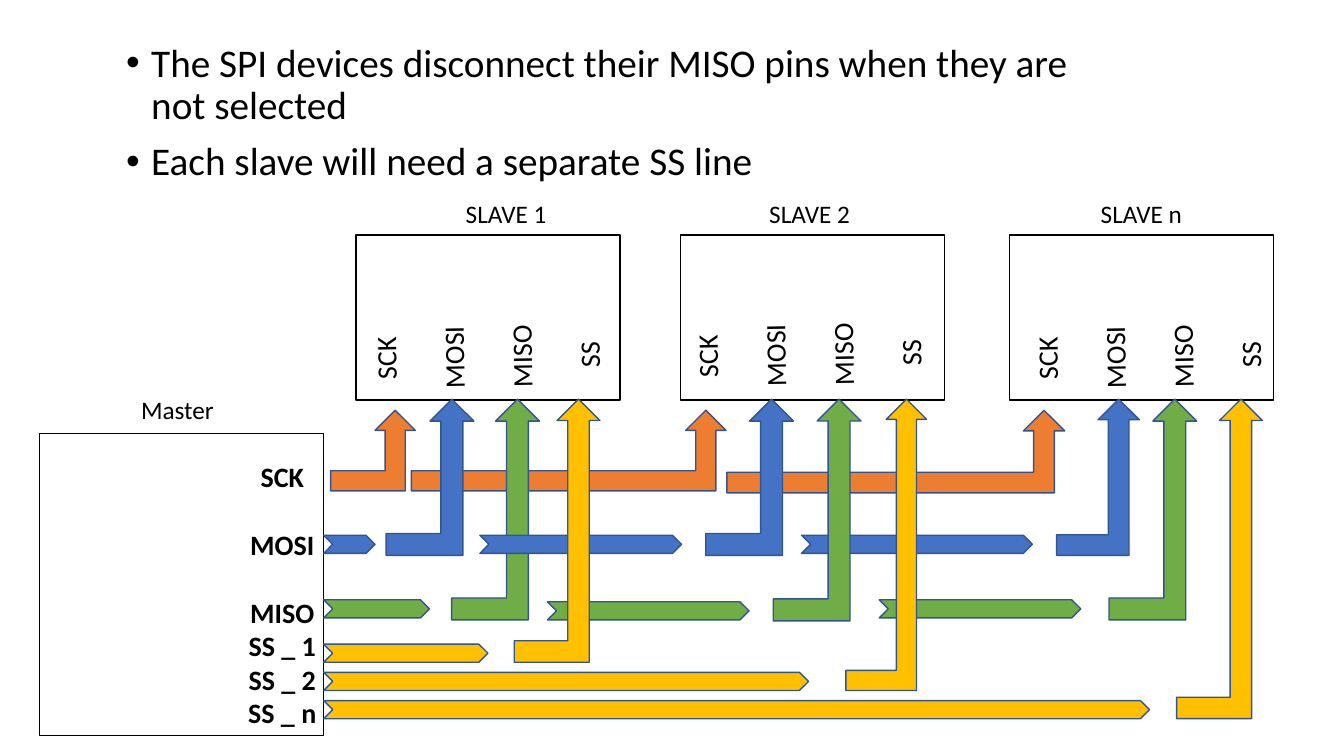
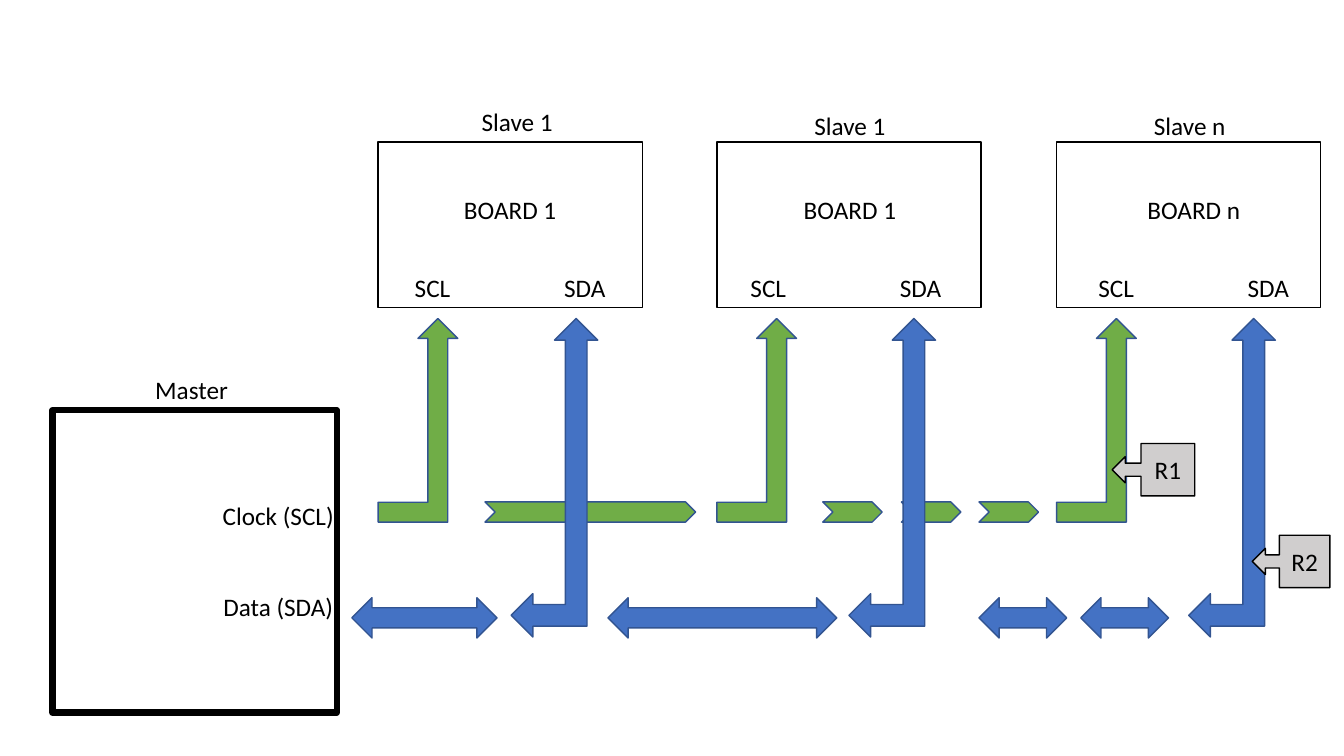
from pptx import Presentation
from pptx.dml.color import RGBColor
from pptx.enum.shapes import MSO_SHAPE
from pptx.enum.text import MSO_ANCHOR, MSO_AUTO_SIZE, PP_ALIGN
from pptx.util import Inches, Pt

RECT = MSO_SHAPE.RECTANGLE
BEND = MSO_SHAPE.BENT_UP_ARROW
BAR = MSO_SHAPE.CHEVRON
FORK = MSO_SHAPE.LEFT_UP_ARROW
BOTH = MSO_SHAPE.LEFT_RIGHT_ARROW
CALL = MSO_SHAPE.LEFT_ARROW_CALLOUT
MID, TOP = MSO_ANCHOR.MIDDLE, MSO_ANCHOR.TOP
CENTRE, LEFT = PP_ALIGN.CENTER, PP_ALIGN.LEFT
FIXED = MSO_AUTO_SIZE.NONE

BLACK = RGBColor(0, 0, 0)
WHITE = RGBColor(255, 255, 255)
EDGE = RGBColor(0x32, 0x54, 0x91)
ORANGE = RGBColor(0xED, 0x7D, 0x31)
BLUE = RGBColor(0x44, 0x72, 0xC4)
GREEN = RGBColor(0x70, 0xAD, 0x47)
GOLD = RGBColor(0xFF, 0xC0, 0)
GREY = RGBColor(0xD0, 0xCE, 0xCE)
FONT = "Calibri"
LINE = 1.22
CHIP = (2.62, 1.64)
HOST = (2.82, 3)
WIDE, TALL = 3, 0.4

POINTS = [
    "The SPI devices disconnect their MISO pins when they are not selected",
    "Each slave will need a separate SS line",
]
PINS = [("SCK", 0), ("MOSI", 1), ("MISO", 1), ("SS", 1)]
PORTS = [("SCK", 0), ("MOSI", 1), ("MISO", 1),
         ("SS _ 1", 0), ("SS _ 2", 0), ("SS _ n", 0)]
BUS = [("Clock (SCL)", 0), ("Data (SDA)", 2)]

SPI = [
    ("SLAVE 1", 3.53, 3.52, 4.1, 2.31),
    ("SLAVE 2", 6.75, 6.53, 7.29, 2.29),
    ("SLAVE n", 10.01, 9.82, 10.66, 2.31),
]
SPI_FLOW = [
    (BEND, ORANGE, 4.07, 0.8, [(3.28, 0.84), (4.08, 3.12)]),
    (BEND, ORANGE, 4.07, 0.82, [(7.21, 3.35)]),
    (BEND, BLUE, 3.96, 1.55, [(3.83, 0.87), (7, 0.87), (10.48, 0.82)]),
    (BEND, GREEN, 3.96, 2.19, [(4.48, 0.87)]),
    (BAR, BLUE, 5.31, 0.18, [(3.21, 0.51), (4.76, 2), (7.95, 2.29)]),
    (BEND, GREEN, 3.96, 2.2, [(7.67, 0.87)]),
    (BEND, GREEN, 3.96, 2.19, [(11, 0.87)]),
    (BAR, GREEN, 5.95, 0.18, [(3.21, 1.05), (8.72, 2)]),
    (BAR, GREEN, 5.97, 0.18, [(5.43, 2)]),
]
SELECT = [(5.1, 0.85, 1.63), (8.39, 0.8, 4.81), (11.67, 0.85, 8.19)]

I2C = [
    ("Slave 1", "BOARD 1", 3.75, 3.63, 1.01, 3.56, 3.56),
    ("Slave 1", "BOARD 1", 7.11, 6.93, 1.05, 6.93, 6.89),
    ("Slave n", "BOARD n", 10.48, 10.3, 1.05, 10.34, 10.34),
]
I2C_FLOW = [
    (BEND, GREEN, 3.16, 2.02, [(3.75, 0.79), (7.11, 0.79), (10.48, 0.79)]),
    (BAR, GREEN, 4.98, 0.2,
     [(4.81, 2.09), (8.16, 0.59), (8.94, 0.59), (9.71, 0.59)]),
    (FORK, BLUE, 3.16, 3.16, [(5.07, 0.86), (8.42, 0.86), (11.79, 0.86)]),
    (BOTH, BLUE, 5.93, 0.4,
     [(3.49, 1.44), (6.03, 2.27), (9.71, 0.87), (10.72, 0.87)]),
]
TAGS = [("R1", 11.03, 4.4, 0.82), ("R2", 12.42, 5.31, 0.77)]


def style(para, size, bold=False, align=CENTRE):
    para.alignment = align
    font = para.font
    font.name, font.size, font.bold = FONT, Pt(size), bold
    font.color.rgb = BLACK


def shape(slide, kind, x, y, w, h, fill=WHITE, edge=BLACK, width=1):
    item = slide.shapes.add_shape(
        kind, Inches(x), Inches(y), Inches(w), Inches(h))
    item.shadow.inherit = False
    item.fill.solid()
    item.fill.fore_color.rgb = fill
    item.line.color.rgb = edge
    item.line.width = Pt(width)
    return item


def label(slide, rows, x, y, w=WIDE, h=TALL, size=18, bold=False, turn=0):
    box = slide.shapes.add_textbox(
        Inches(x), Inches(y), Inches(w), Inches(h))
    box.rotation = turn
    frame = box.text_frame
    frame.word_wrap = True
    frame.text = "\n".join(text for text, gap in rows)
    for para, (text, gap) in zip(frame.paragraphs, rows):
        style(para, size, bold)
        para.space_before = Pt(round(gap * size * LINE, 1))


def flow(slide, layers):
    for kind, fill, y, h, spans in layers:
        for x, w in spans:
            shape(slide, kind, x, y, w, h, fill, EDGE)


def bullets(slide):
    title = slide.shapes.title
    title.element.getparent().remove(title.element)
    body = slide.placeholders[1]
    body.left, body.top = Inches(1.15), Inches(0.38)
    body.width, body.height = Inches(10), Inches(6.46)
    frame = body.text_frame
    frame.text = "\n".join(POINTS)
    frame.auto_size = FIXED
    frame.vertical_anchor = TOP
    for para in frame.paragraphs:
        style(para, 28, align=LEFT)
        para.line_spacing = 0.9
        para.space_before = Pt(10)
        props = para._p.get_or_add_pPr()
        props.set("marL", str(Inches(0.25)))
        props.set("indent", str(-Inches(0.25)))


def draw_spi(slide):
    bullets(slide)
    shape(slide, RECT, 0.39, 4.3, *HOST)
    label(slide, PORTS, 1.77, 4.51, 2.06, 2.79, 20, True)
    label(slide, [("Master", 0)], 0.26, 3.86)
    for name, x, head, pin, top in SPI:
        shape(slide, RECT, x, 2.33, *CHIP)
        label(slide, [(name, 0)], head, 1.92)
        label(slide, PINS, pin, top, 1.47, 2.46, 20, turn=269)
    flow(slide, SPI_FLOW)
    for n, (x, w, reach) in enumerate(SELECT):
        shape(slide, BEND, x, 3.96, w, 2.61 + 0.28 * n, GOLD, EDGE)
        shape(slide, BAR, 3.21, 6.39 + 0.28 * n, reach, 0.18, GOLD, EDGE)


def draw_i2c(slide):
    shape(slide, RECT, 0.52, 4.07, *HOST, width=4.5)
    label(slide, [("Master", 0)], 0.4, 3.66)
    label(slide, BUS, 1.26, 4.91, h=1.31)
    flow(slide, I2C_FLOW)
    for name, board, x, head, top, mid, pin in I2C:
        shape(slide, RECT, x, 1.41, *CHIP)
        label(slide, [(name, 0)], head, top)
        label(slide, [(board, 0)], mid, 1.88)
        for n, text in enumerate(("SCL", "SDA")):
            label(slide, [(text, 0)], pin + 0.23 + 1.51 * n, 2.65, 1)
    for text, x, y, w in TAGS:
        tag = shape(slide, CALL, x, y, w, 0.52, GREY)
        tag.text_frame.text = text
        tag.text_frame.vertical_anchor = MID
        style(tag.text_frame.paragraphs[0], 18)


def main():
    deck = Presentation()
    deck.slide_width, deck.slide_height = Inches(13.33), Inches(7.5)
    for layout, draw in ((1, draw_spi), (6, draw_i2c)):
        draw(deck.slides.add_slide(deck.slide_layouts[layout]))
    deck.save("out.pptx")


if __name__ == "__main__":
    main()
